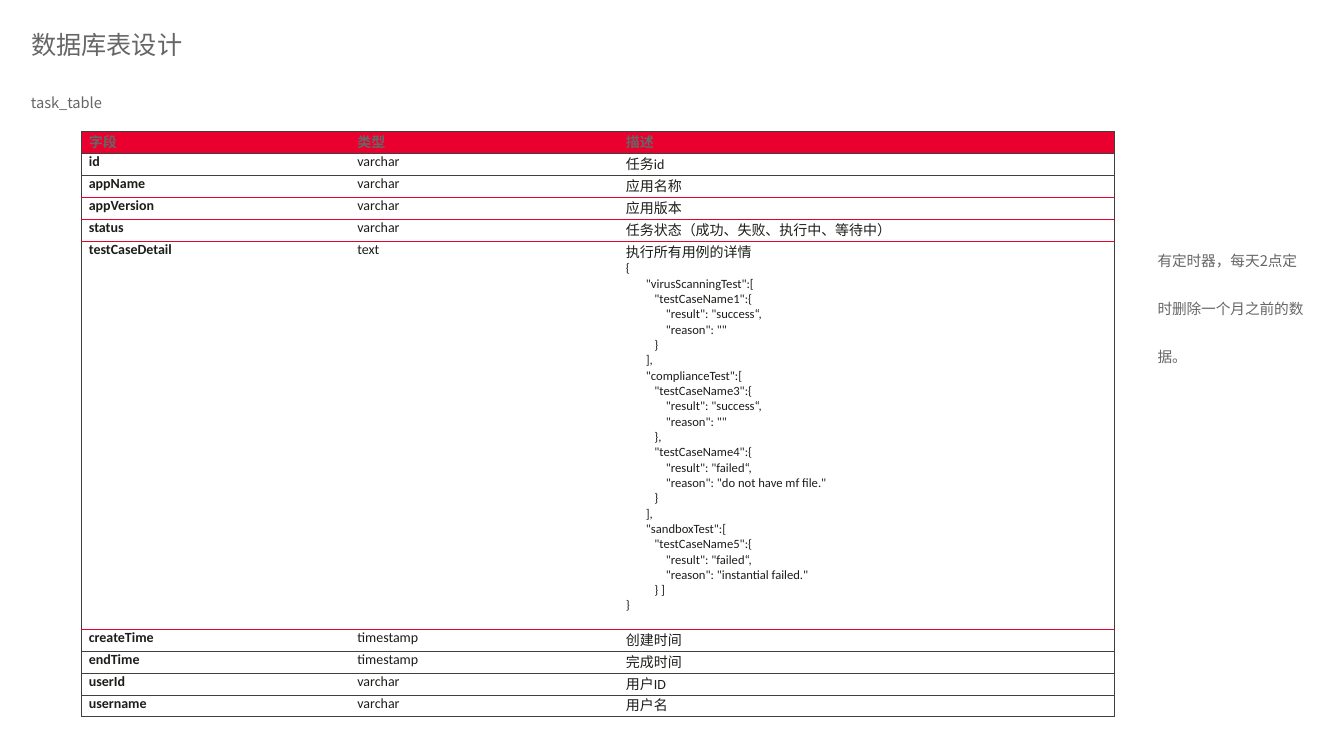
import pptx
import pptx.dml.color
import pptx.enum.text
import pptx.oxml
import pptx.oxml.ns
import pptx.util
from pptx.util import Cm

COLORS = {"grey": "666666", "ink": "1D1D1A", "red": "E9002F", "line": "404040"}
CJK_FONT = "Noto Sans CJK SC"
TABLE_FONT = "Calibri"
ALIGN = pptx.enum.text.PP_ALIGN

TEST_DETAIL = """执行所有用例的详情
{
       "virusScanningTest":[
          "testCaseName1":{
              "result": "success“,
              "reason": ""
          }
       ],
       "complianceTest":[
          "testCaseName3":{
              "result": "success“,
              "reason": ""
          },
          "testCaseName4":{
              "result": "failed“,
              "reason": "do not have mf file."
          }
       ],
       "sandboxTest":[
          "testCaseName5":{
              "result": "failed“,
              "reason": "instantial failed."
          } ]
}"""

FIELDS = [
    ("字段", "类型", "描述"),
    ("id", "varchar", "任务id"),
    ("appName", "varchar", "应用名称"),
    ("appVersion", "varchar", "应用版本"),
    ("status", "varchar", "任务状态（成功、失败、执行中、等待中）"),
    ("testCaseDetail", "text", TEST_DETAIL),
    ("createTime", "timestamp", "创建时间"),
    ("endTime", "timestamp", "完成时间"),
    ("userId", "varchar", "用户ID"),
    ("username", "varchar", "用户名"),
]
COL_WIDTHS = (6.77, 6.77, 12.48)
ROW_HEIGHT, DETAIL_HEIGHT = 0.55, 9.79
DETAIL_ROW = 5
RED_RULES = range(3, 7)  # rules counted from the top edge of the table


class SlideBuilder:
    def __init__(self, prs):
        self.slide = prs.slides.add_slide(prs.slide_layouts[5])

    def add_run(self, p, text, size, color, font, bold=False):
        r = p.add_run()
        r.text = text
        r.font.size = pptx.util.Pt(size)
        r.font.bold = bold
        r.font.name = font
        r.font.color.rgb = pptx.dml.color.RGBColor.from_string(COLORS[color])
        ea = pptx.oxml.parse_xml(
            f'<a:ea {pptx.oxml.ns.nsdecls("a")} typeface="{CJK_FONT}"/>')
        r.font._element.find(pptx.oxml.ns.qn("a:latin")).addnext(ea)

    def fill_text(self, sp, box, text, size):
        sp.left, sp.top, sp.width, sp.height = (Cm(v) for v in box)
        tf = sp.text_frame
        tf.word_wrap = True
        tf.auto_size = pptx.enum.text.MSO_AUTO_SIZE.SHAPE_TO_FIT_TEXT
        tf.vertical_anchor = pptx.enum.text.MSO_ANCHOR.TOP
        p = tf.paragraphs[0]
        p.alignment = ALIGN.LEFT
        p.line_spacing = pptx.util.Pt(34.4)
        self.add_run(p, text, size, "grey", CJK_FONT)

    def title(self, box, text):
        self.fill_text(self.slide.shapes.title, box, text, 18)

    def text(self, box, text):
        sp = self.slide.shapes.add_textbox(0, 0, 0, 0)
        self.fill_text(sp, box, text, 10.5)

    def set_borders(self, cell, colors):
        """Draw the sides named in colors and hide the other ones."""
        tc_pr = cell._tc.get_or_add_tcPr()
        for i, side in enumerate("LRTB"):
            color = colors.get(side)
            paint = (f'<a:solidFill><a:srgbClr val="{COLORS[color]}"/></a:solidFill>'
                     if color else "<a:noFill/>")
            tc_pr.insert(i, pptx.oxml.parse_xml(
                f'<a:ln{side} {pptx.oxml.ns.nsdecls("a")} w="6350">{paint}</a:ln{side}>'))

    def table_cell(self, cell, row, col, text):
        cell.margin_left = cell.margin_right = Cm(0.18)
        cell.margin_top = cell.margin_bottom = 0
        header = row == 0
        if header:
            cell.fill.solid()
            cell.fill.fore_color.rgb = pptx.dml.color.RGBColor.from_string(COLORS["red"])
        else:
            cell.fill.background()
        tf = cell.text_frame
        for i, line in enumerate(text.splitlines()):
            p = tf.add_paragraph() if i else tf.paragraphs[0]
            p.alignment = ALIGN.JUSTIFY
            self.add_run(p, line, 9 if i else 10, "grey" if header else "ink",
                         TABLE_FONT, bold=header or col == 0)
        borders = {side: "red" if rule in RED_RULES else "line"
                   for side, rule in (("T", row), ("B", row + 1))}
        if col == 0:
            borders["L"] = "line"
        if col == len(COL_WIDTHS) - 1:
            borders["R"] = "line"
        self.set_borders(cell, borders)

    def table(self, left, top, rows):
        heights = [DETAIL_HEIGHT if i == DETAIL_ROW else ROW_HEIGHT
                   for i in range(len(rows))]
        tbl = self.slide.shapes.add_table(
            len(rows), len(COL_WIDTHS), Cm(left), Cm(top),
            Cm(sum(COL_WIDTHS)), Cm(sum(heights))).table
        tbl.horz_banding = False
        for column, width in zip(tbl.columns, COL_WIDTHS):
            column.width = Cm(width)
        for i, values in enumerate(rows):
            tbl.rows[i].height = Cm(heights[i])
            for j, value in enumerate(values):
                self.table_cell(tbl.cell(i, j), i, j, value)


def main():
    prs = pptx.Presentation()
    prs.slide_width, prs.slide_height = Cm(33.88), Cm(19.05)
    s = SlideBuilder(prs)
    s.title((0.53, 0.15, 9.45, 1.47), "数据库表设计")
    s.text((0.53, 1.47, 4.19, 1.47), "task_table")
    s.table(2.06, 3.32, FIELDS)
    s.text((28.93, 5.44, 4.22, 3.89), "有定时器，每天2点定时删除一个月之前的数据。")
    prs.save("out.pptx")


if __name__ == "__main__":
    main()
